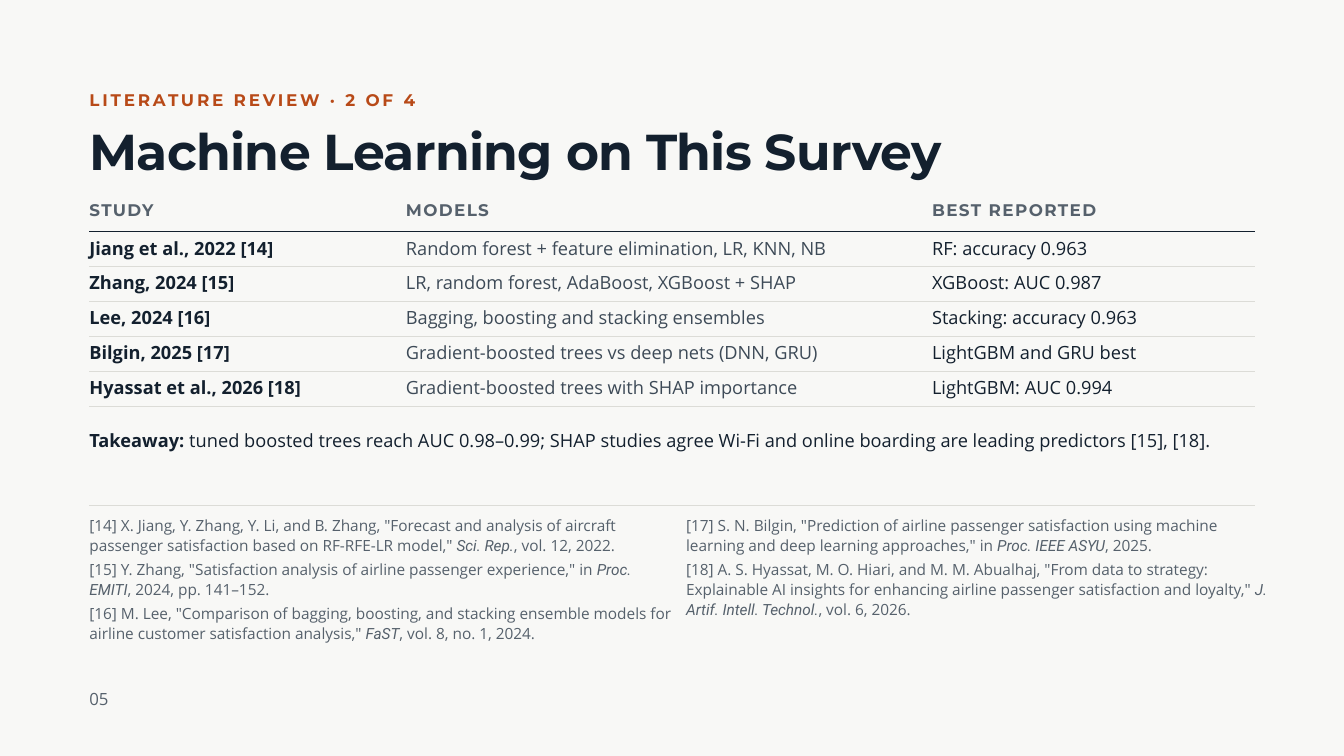
from pptx import Presentation
from pptx.dml.color import RGBColor
from pptx.enum.shapes import MSO_CONNECTOR
from pptx.enum.text import MSO_ANCHOR, MSO_AUTO_SIZE, PP_ALIGN
from pptx.oxml.ns import qn
from pptx.util import Inches, Pt
from lxml import etree

STRAIGHT = MSO_CONNECTOR.STRAIGHT
TOP = MSO_ANCHOR.TOP
NO_FIT = MSO_AUTO_SIZE.NONE
LEFT = PP_ALIGN.LEFT

BACKGROUND = RGBColor(0xF8, 0xF8, 0xF6)
INK = RGBColor(0x13, 0x20, 0x2E)
SLATE = RGBColor(0x3D, 0x4A, 0x57)
MUTED = RGBColor(0x56, 0x61, 0x6C)
ACCENT = RGBColor(0xB8, 0x4A, 0x18)
RULE = RGBColor(0xDC, 0xDC, 0xD7)

HEAD_FONT, BODY_FONT, CITE_FONT = "Montserrat", "Open Sans", "Roboto"
MARGIN, RIGHT = 1.33, 18.67
TEXT_WIDTH = 17.85
COLUMNS = [1.33, 6.04, 13.87, RIGHT]
TABLE_TOP, ROW_HEIGHT = 2.92, 0.52

HEADERS = ["STUDY", "MODELS", "BEST REPORTED"]
STUDIES = [
    ("Jiang et al., 2022 [14]", "Random forest + feature elimination, LR, KNN, NB",
     "RF: accuracy 0.963"),
    ("Zhang, 2024 [15]", "LR, random forest, AdaBoost, XGBoost + SHAP", "XGBoost: AUC 0.987"),
    ("Lee, 2024 [16]", "Bagging, boosting and stacking ensembles", "Stacking: accuracy 0.963"),
    ("Bilgin, 2025 [17]", "Gradient-boosted trees vs deep nets (DNN, GRU)",
     "LightGBM and GRU best"),
    ("Hyassat et al., 2026 [18]", "Gradient-boosted trees with SHAP importance",
     "LightGBM: AUC 0.994"),
]

# Each reference: text, venue in italics, closing details
REFERENCES_LEFT = [
    ('[14] X. Jiang, Y. Zhang, Y. Li, and B. Zhang, "Forecast and analysis of aircraft '
     'passenger satisfaction based on RF-RFE-LR model," ', "Sci. Rep.", ", vol. 12, 2022."),
    ('[15] Y. Zhang, "Satisfaction analysis of airline passenger experience," in ',
     "Proc. EMITI", ", 2024, pp. 141–152."),
    ('[16] M. Lee, "Comparison of bagging, boosting, and stacking ensemble models for '
     'airline customer satisfaction analysis," ', "FaST", ", vol. 8, no. 1, 2024."),
]
REFERENCES_RIGHT = [
    ('[17] S. N. Bilgin, "Prediction of airline passenger satisfaction using machine '
     'learning and deep learning approaches," in ', "Proc. IEEE ASYU", ", 2025."),
    ('[18] A. S. Hyassat, M. O. Hiari, and M. M. Abualhaj, "From data to strategy: '
     'Explainable AI insights for enhancing airline passenger satisfaction and loyalty," ',
     "J. Artif. Intell. Technol.", ", vol. 6, 2026."),
]


class Deck:
    def __init__(self, width, height):
        self.prs = Presentation()
        self.prs.slide_width, self.prs.slide_height = Inches(width), Inches(height)

    def new_slide(self, layout):
        self.s = self.prs.slides.add_slide(self.prs.slide_layouts[layout])
        fill = self.s.background.fill
        fill.solid()
        fill.fore_color.rgb = BACKGROUND

    def run(self, p, text, size, color, font=BODY_FONT, bold=False, italic=False, spacing=0):
        r = p.add_run()
        r.text = text
        f = r.font
        f.size, f.name, f.bold, f.italic = Pt(size), font, bold, italic
        f.color.rgb = color
        if spacing:
            r._r.get_or_add_rPr().set("spc", str(round(spacing * 100)))

    def frame(self, sp):
        tf = sp.text_frame
        tf.word_wrap, tf.auto_size, tf.vertical_anchor = True, NO_FIT, TOP
        tf.margin_left = tf.margin_right = tf.margin_top = tf.margin_bottom = 0
        return tf

    def place(self, idx, x, y, w, h):
        sp = self.s.placeholders[idx]
        sp.left, sp.top, sp.width, sp.height = Inches(x), Inches(y), Inches(w), Inches(h)
        return self.frame(sp)

    def title(self, text, x, y, w, h):
        p = self.place(0, x, y, w, h).paragraphs[0]
        p.alignment, p.line_spacing = LEFT, Pt(59.4)
        self.run(p, text, 54, INK, HEAD_FONT, bold=True, spacing=-0.75)

    def text(self, x, y, w, h, leading):
        sp = self.s.shapes.add_textbox(Inches(x), Inches(y), Inches(w), Inches(h))
        p = self.frame(sp).paragraphs[0]
        p.line_spacing = Pt(leading)
        return p

    def references(self, idx, x, y, w, h, items):
        tf = self.place(idx, x, y, w, h)
        for i, (text, venue, details) in enumerate(items):
            p = tf.add_paragraph() if i else tf.paragraphs[0]
            pPr = p._p.get_or_add_pPr()
            pPr.set("marL", "0")
            pPr.set("indent", "0")
            etree.SubElement(pPr, qn("a:buNone"))
            p.line_spacing, p.space_before = Pt(21.4), Pt(4.4 if i else 0)
            self.run(p, text, 16.5, MUTED)
            self.run(p, venue, 16.5, MUTED, CITE_FONT, italic=True)
            self.run(p, details, 16.5, MUTED)

    def rule(self, x1, x2, y, color=RULE):
        line = self.s.shapes.add_connector(STRAIGHT, Inches(x1), Inches(y), Inches(x2), Inches(y))
        line.line.color.rgb, line.line.width = color, Pt(0.75)
        etree.SubElement(line._element.spPr, qn("a:effectLst"))

    def clear(self, cell):
        tcPr = cell._tc.get_or_add_tcPr()
        for side in "LRTB":
            ln = etree.SubElement(tcPr, qn("a:ln" + side))
            etree.SubElement(ln, qn("a:noFill"))
        cell.fill.background()

    def table(self, y, edges, row_height, headers, rows):
        grid = [headers] + rows
        frame = self.s.shapes.add_table(
            len(grid), len(headers), Inches(edges[0]), Inches(y),
            Inches(edges[-1] - edges[0]), Inches(row_height * len(grid)))
        table = frame.table
        table.first_row = table.horz_banding = False
        for column, start, end in zip(table.columns, edges, edges[1:]):
            column.width = Inches(end - start)
        for i, values in enumerate(grid):
            table.rows[i].height = Inches(row_height)
            for j, value in enumerate(values):
                cell = table.cell(i, j)
                self.clear(cell)
                cell.vertical_anchor = TOP
                cell.margin_left = cell.margin_right = cell.margin_bottom = 0
                cell.margin_top = Inches(0.07 if i else 0.01)
                p = cell.text_frame.paragraphs[0]
                if i == 0:
                    p.line_spacing = Pt(25.2)
                    self.run(p, value, 18, MUTED, HEAD_FONT, bold=True, spacing=1.5)
                else:
                    p.line_spacing = Pt(26.3)
                    self.run(p, value, 19.5, SLATE if j == 1 else INK, bold=j == 0)
            # Rule below each row, dark under the headers
            self.rule(edges[0], edges[-1], y + row_height * (i + 1), RULE if i else INK)


def main():
    deck = Deck(20, 11.25)
    deck.new_slide(3)

    # Heading
    p = deck.text(MARGIN, 1.29, TEXT_WIDTH, 0.43, 25.2)
    deck.run(p, "LITERATURE REVIEW · 2 OF 4", 18, ACCENT, HEAD_FONT, bold=True, spacing=3)
    deck.title("Machine Learning on This Survey", MARGIN, 1.86, TEXT_WIDTH, 0.81)

    # Studies and takeaway
    deck.table(TABLE_TOP, COLUMNS, ROW_HEIGHT, HEADERS, STUDIES)
    p = deck.text(MARGIN, 6.33, TEXT_WIDTH, 0.37, 27.3)
    deck.run(p, "Takeaway:", 19.5, INK, bold=True)
    deck.run(p, " tuned boosted trees reach AUC 0.98–0.99; SHAP studies agree Wi-Fi and "
                "online boarding are leading predictors [15], [18].", 19.5, INK)

    # References
    deck.rule(MARGIN, RIGHT, 7.52)
    deck.references(1, MARGIN, 7.66, 8.71, 1.98, REFERENCES_LEFT)
    deck.references(2, 10.21, 7.66, 8.71, 1.62, REFERENCES_RIGHT)

    # Page number
    p = deck.text(MARGIN, 10.2, 4.29, 0.42, 25.2)
    deck.run(p, "05", 18, MUTED)

    deck.prs.save("out.pptx")


if __name__ == "__main__":
    main()
